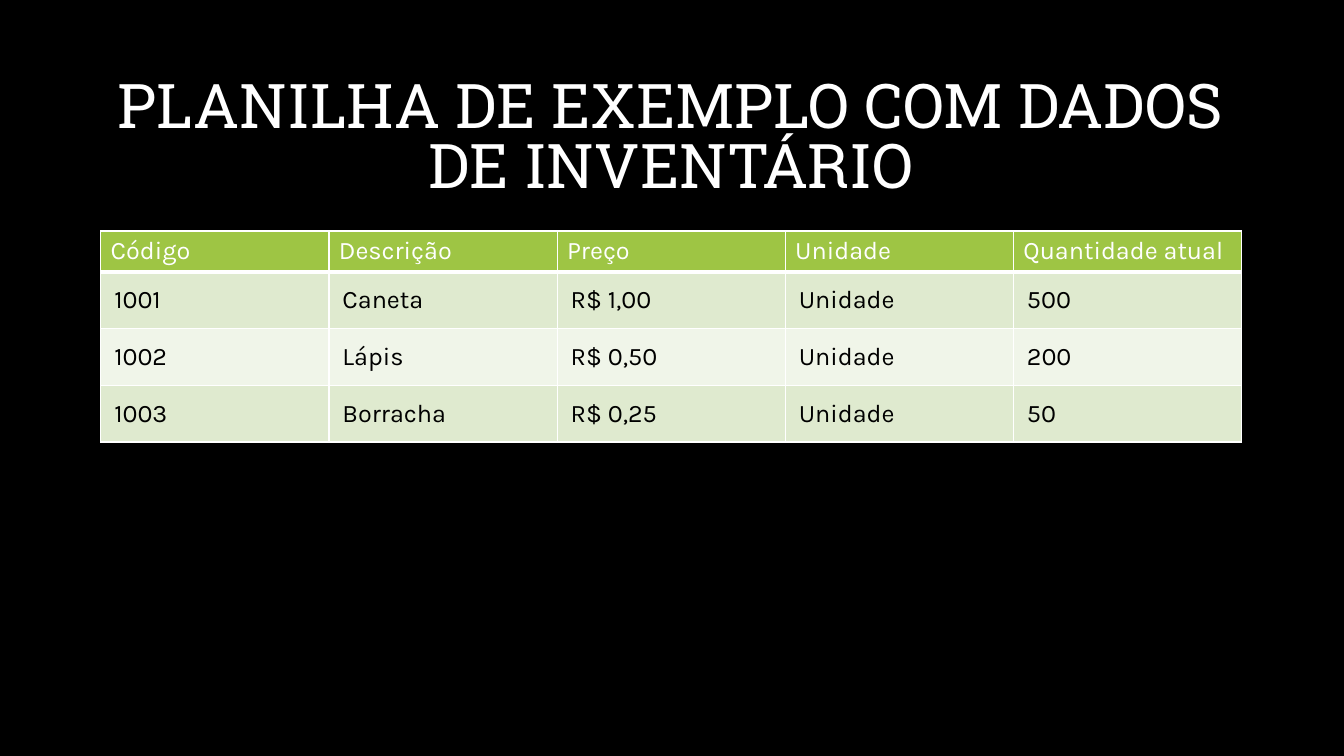
import dataclasses

import lxml.etree
import pptx
import pptx.dml.color
import pptx.enum.text
import pptx.oxml.ns
import pptx.util

Cm = pptx.util.Cm
Pt = pptx.util.Pt
Color = pptx.dml.color.RGBColor.from_string
Anchor = pptx.enum.text.MSO_ANCHOR
Align = pptx.enum.text.PP_ALIGN


@dataclasses.dataclass(frozen=True)
class Theme:
    background: str = "000000"
    light: str = "FFFFFF"
    dark: str = "000000"
    header: str = "9EC544"
    bands: tuple = ("DFEACF", "F0F5E9")
    title_font: str = "Roboto Slab"
    body_font: str = "Karla"
    title_size: int = 44
    body_size: int = 18


theme = Theme()


def write(frame, text, *, font, size, color, align=Align.LEFT, spacing=1.0):
    para = frame.paragraphs[0]
    para.alignment = align
    para.line_spacing = spacing
    span = para.add_run()
    span.text = text
    span.font.name = font
    span.font.size = Pt(size)
    span.font.bold = False
    span.font.color.rgb = Color(color)


def add_borders(cell, bottom):
    properties = cell._tc.get_or_add_tcPr()
    widths = {"a:lnL": 1, "a:lnR": 1, "a:lnT": 1, "a:lnB": bottom}
    for position, (side, width) in enumerate(widths.items()):
        line = lxml.etree.Element(pptx.oxml.ns.qn(side), w=str(Pt(width)))
        fill = lxml.etree.SubElement(line, pptx.oxml.ns.qn("a:solidFill"))
        lxml.etree.SubElement(fill, pptx.oxml.ns.qn("a:srgbClr"), val=theme.light)
        properties.insert(position, line)


deck = pptx.Presentation()
deck.slide_width = Cm(33.87)
deck.slide_height = Cm(19.05)
page = deck.slides.add_slide(deck.slide_layouts[5])
page.background.fill.solid()
page.background.fill.fore_color.rgb = Color(theme.background)

left, width = Cm(2.54), Cm(28.75)

title = page.shapes.title
title.left, title.top, title.width, title.height = left, Cm(1.7), width, Cm(3.68)
title.text_frame.word_wrap = True
title.text_frame.auto_size = pptx.enum.text.MSO_AUTO_SIZE.NONE
title.text_frame.vertical_anchor = Anchor.MIDDLE
write(title.text_frame, "PLANILHA DE EXEMPLO COM DADOS DE INVENTÁRIO",
      font=theme.title_font, size=theme.title_size, color=theme.light,
      align=Align.CENTER, spacing=0.81)

inventory = [
    ("Código", "Descrição", "Preço", "Unidade", "Quantidade atual"),
    ("1001", "Caneta", "R$ 1,00", "Unidade", "500"),
    ("1002", "Lápis", "R$ 0,50", "Unidade", "200"),
    ("1003", "Borracha", "R$ 0,25", "Unidade", "50"),
]
header_height, row_height = Cm(1.03), Cm(1.43)
table = page.shapes.add_table(
    len(inventory), len(inventory[0]), left, Cm(5.82), width,
    header_height + row_height * (len(inventory) - 1)).table

for row, values in enumerate(inventory):
    is_header = row == 0
    table.rows[row].height = header_height if is_header else row_height
    for column, value in enumerate(values):
        cell = table.cell(row, column)
        cell.vertical_anchor = Anchor.MIDDLE
        cell.margin_left = cell.margin_right = Cm(0.25 if is_header else 0.34)
        cell.margin_top = cell.margin_bottom = Cm(0.13 if is_header else 0.34)
        cell.fill.solid()
        cell.fill.fore_color.rgb = Color(
            theme.header if is_header else theme.bands[(row - 1) % 2])
        add_borders(cell, bottom=3 if is_header else 1)
        write(cell.text_frame, value, font=theme.body_font, size=theme.body_size,
              color=theme.light if is_header else theme.dark)

deck.save("out.pptx")
